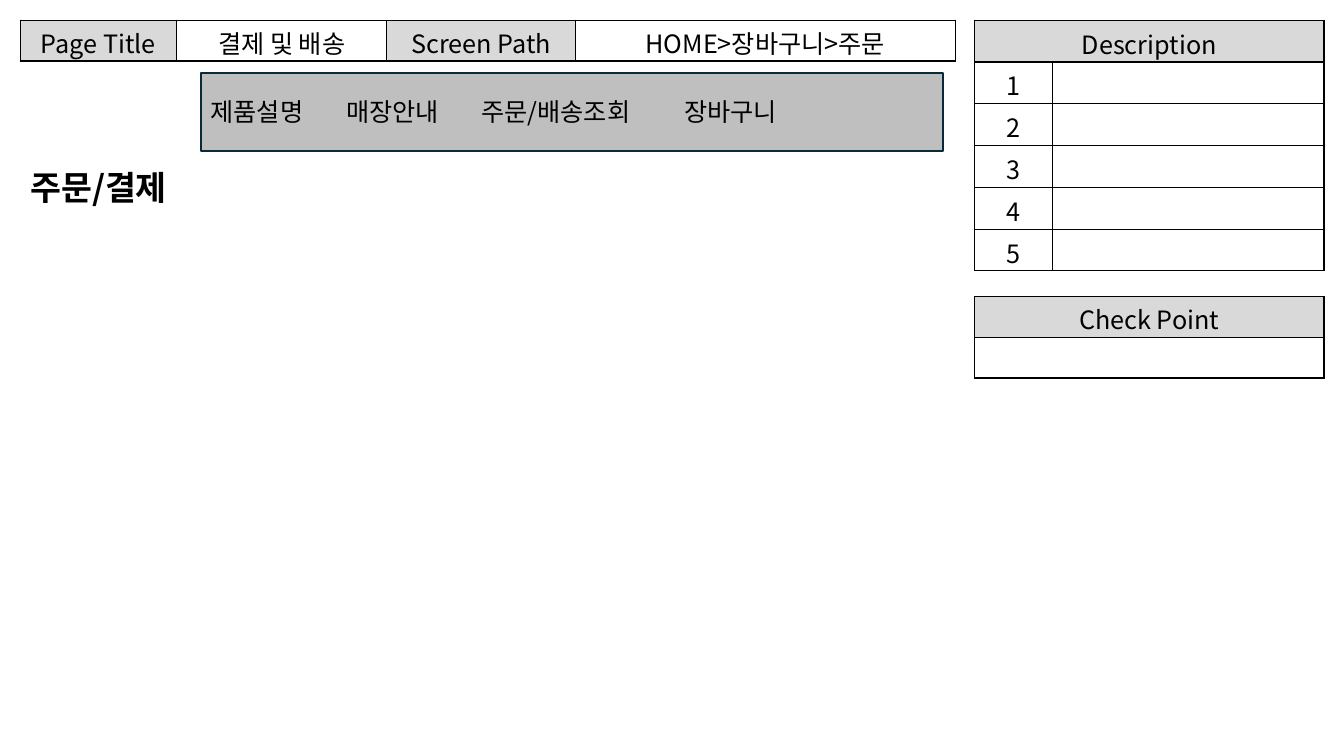
from dataclasses import dataclass

from lxml import etree
from pptx import Presentation
from pptx.dml.color import RGBColor
from pptx.enum.shapes import MSO_SHAPE
from pptx.enum.text import MSO_ANCHOR, MSO_AUTO_SIZE, PP_ALIGN
from pptx.oxml.ns import qn
from pptx.slide import Slide
from pptx.table import _Cell
from pptx.text.text import TextFrame
from pptx.util import Pt

RECTANGLE = MSO_SHAPE.RECTANGLE
MIDDLE = MSO_ANCHOR.MIDDLE
NO_AUTOFIT = MSO_AUTO_SIZE.NONE
LEFT, CENTER, JUSTIFY = PP_ALIGN.LEFT, PP_ALIGN.CENTER, PP_ALIGN.JUSTIFY
TITLE_ONLY = 5


@dataclass(frozen=True)
class Theme:
    font: str = "Noto Sans CJK KR"
    text: str = "000000"
    border: str = "000000"
    header: str = "D9D9D9"
    menu: str = "BFBFBF"
    menu_line: str = "092A39"
    body_size: float = 18
    title_size: float = 24


@dataclass(frozen=True)
class TableSpec:
    left: float
    top: float
    widths: list[float]
    row_height: float
    rows: list[list[str]]
    headers: set[tuple[int, int]]
    merge_first_row: bool = False


THEME = Theme()
MARGIN = 14.4
SIDE_LEFT = 696.2
SIDE_WIDTHS = [55.4, 194.1]

TABLES = [
    TableSpec(SIDE_LEFT, MARGIN, SIDE_WIDTHS, 29.86,
              [["Description", ""]] + [[str(n), ""] for n in range(1, 6)],
              {(0, 0), (0, 1)}, merge_first_row=True),
    TableSpec(SIDE_LEFT, 211.6, [sum(SIDE_WIDTHS)], 29.2,
              [["Check Point"], [""]], {(0, 0)}),
    TableSpec(MARGIN, MARGIN, [111.6, 150.3, 134.6, 271.6], 29.2,
              [["Page Title", "결제 및 배송", "Screen Path", "HOME>장바구니>주문"]],
              {(0, 0), (0, 2)}),
]
MENU_ITEMS = ["제품설명", "매장안내", "주문/배송조회", "장바구니"]
MENU_STOPS = [97, 193.5, 338.5]


def write(tf: TextFrame, text: str, *, size: float = THEME.body_size,
          bold: bool = False, align: PP_ALIGN = LEFT) -> None:
    tf.word_wrap = True
    p = tf.paragraphs[0]
    p.alignment = align
    r = p.add_run()
    r.text = text
    r.font.size = Pt(size)
    r.font.bold = bold
    r.font.name = THEME.font
    r.font.color.rgb = RGBColor.from_string(THEME.text)
    east_asian = etree.SubElement(r.font._element, qn("a:ea"))
    east_asian.set("typeface", THEME.font)


def add_borders(cell: _Cell) -> None:
    tc_pr = cell._tc.get_or_add_tcPr()
    for i, side in enumerate(("lnL", "lnR", "lnT", "lnB")):
        line = etree.Element(qn(f"a:{side}"), w=str(Pt(1)))
        fill = etree.SubElement(line, qn("a:solidFill"))
        etree.SubElement(fill, qn("a:srgbClr"), val=THEME.border)
        tc_pr.insert(i, line)


def add_table(s: Slide, spec: TableSpec) -> None:
    table = s.shapes.add_table(
        len(spec.rows), len(spec.widths), Pt(spec.left), Pt(spec.top),
        Pt(sum(spec.widths)), Pt(spec.row_height * len(spec.rows))).table
    table.first_row = table.horz_banding = False
    for column, width in zip(table.columns, spec.widths):
        column.width = Pt(width)
    for row in table.rows:
        row.height = Pt(spec.row_height)
    for i, texts in enumerate(spec.rows):
        for j, text in enumerate(texts):
            cell = table.cell(i, j)
            cell.vertical_anchor = MIDDLE
            cell.margin_top, cell.margin_bottom = Pt(3), Pt(0)
            if (i, j) in spec.headers:
                cell.fill.solid()
                cell.fill.fore_color.rgb = RGBColor.from_string(THEME.header)
            else:
                cell.fill.background()
            add_borders(cell)
            if text:
                write(cell.text_frame, text, align=CENTER)
    if spec.merge_first_row:
        table.cell(0, 0).merge(table.cell(0, len(spec.widths) - 1))


def add_menu(s: Slide) -> None:
    sp = s.shapes.add_shape(RECTANGLE, Pt(143.3), Pt(52.2), Pt(530.6), Pt(55.4))
    sp.shadow.inherit = False
    sp.fill.solid()
    sp.fill.fore_color.rgb = RGBColor.from_string(THEME.menu)
    sp.line.color.rgb = RGBColor.from_string(THEME.menu_line)
    sp.line.width = Pt(1.5)
    tf = sp.text_frame
    tf.vertical_anchor = MIDDLE
    write(tf, "\t".join(MENU_ITEMS), align=JUSTIFY)
    tabs = etree.SubElement(tf.paragraphs[0]._p.get_or_add_pPr(), qn("a:tabLst"))
    for stop in MENU_STOPS:
        etree.SubElement(tabs, qn("a:tab"), pos=str(Pt(stop)), algn="l")


def set_title(s: Slide) -> None:
    title = s.shapes.title
    title.left, title.top = Pt(MARGIN), Pt(115.9)
    title.width, title.height = Pt(205.2), Pt(36)
    tf = title.text_frame
    tf.auto_size = NO_AUTOFIT
    tf.vertical_anchor = MIDDLE
    write(tf, "주문/결제", size=THEME.title_size, bold=True)


def main() -> None:
    prs = Presentation()
    prs.slide_width, prs.slide_height = Pt(960), Pt(540)
    s = prs.slides.add_slide(prs.slide_layouts[TITLE_ONLY])
    set_title(s)
    add_menu(s)
    for spec in TABLES:
        add_table(s, spec)
    prs.save("out.pptx")


if __name__ == "__main__":
    main()
